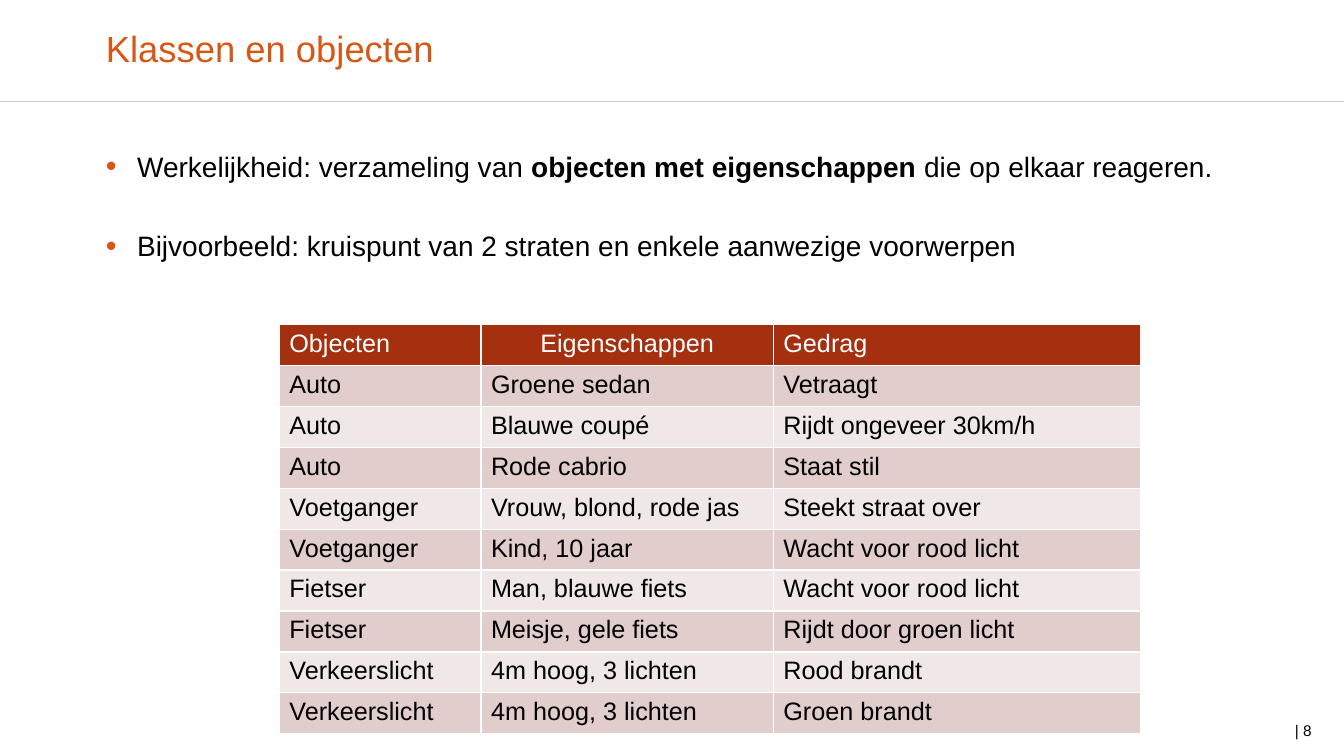
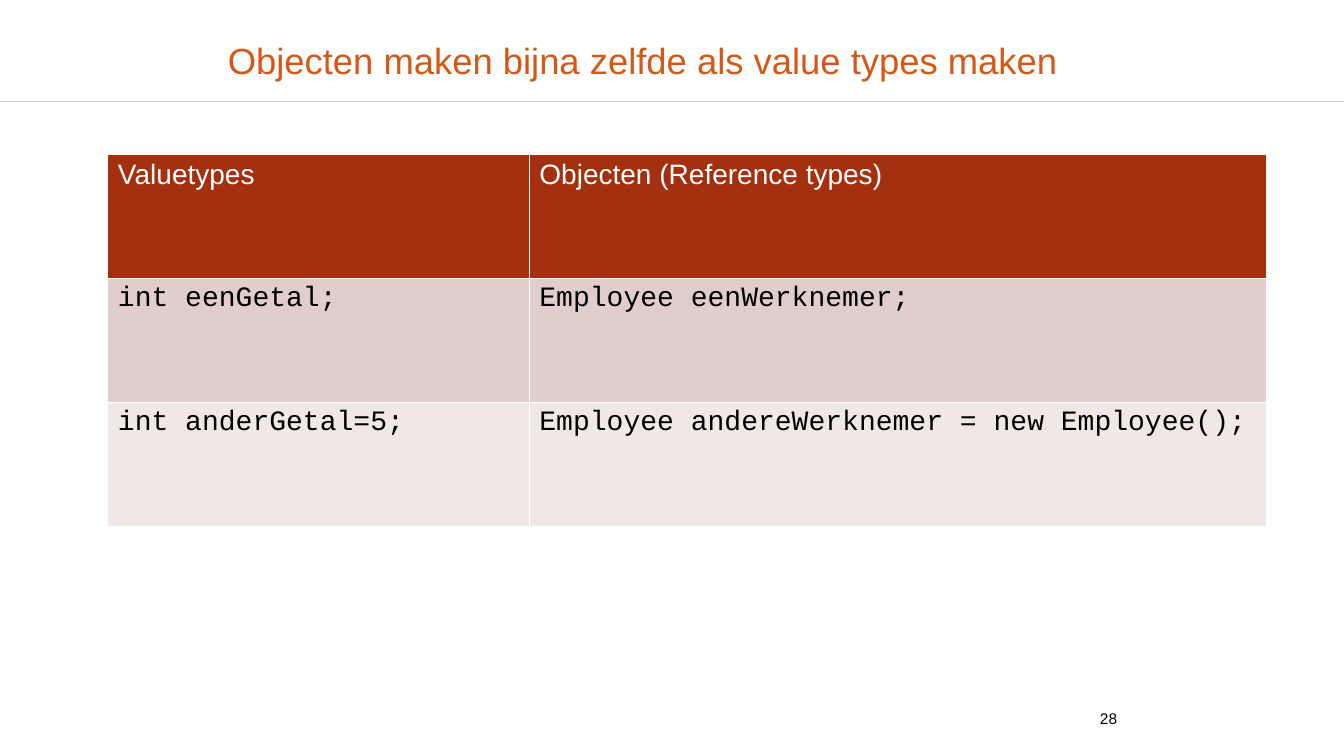
from dataclasses import dataclass

import pptx
import pptx.dml.color
import pptx.enum.shapes
import pptx.enum.text
import pptx.oxml
import pptx.oxml.ns
import pptx.util
from pptx.util import Inches

ALIGN = pptx.enum.text.PP_ALIGN
ANCHOR = pptx.enum.text.MSO_ANCHOR

# Shared look
SLIDE_WIDTH, SLIDE_HEIGHT = 13.33, 7.5
RULE_TOP = 1.01
ACCENT, HEADER_FILL = "D55816", "A5300F"
BAND_FILLS = ("E1CDCC", "F0E8E7")
BLACK, WHITE, RULE_GREY = "000000", "FFFFFF", "CCCCCC"
SANS, MONO = "Arial", "Courier New"
TITLE_SIZE, BODY_SIZE, NUMBER_SIZE = 26, 20, 11


@dataclass(frozen=True)
class Area:
    left: float
    top: float
    width: float
    height: float


@dataclass(frozen=True)
class Grid:
    left: float
    top: float
    widths: tuple[float, ...]
    row_height: float
    rows: tuple[tuple[str, ...], ...]
    size: int
    body_font: str = SANS
    centred_headers: tuple[int, ...] = ()


def colour(value: str) -> pptx.dml.color.RGBColor:
    return pptx.dml.color.RGBColor.from_string(value)


def drawing_element(tag: str, content: str = "", attributes: str = ""):
    namespace = pptx.oxml.ns.nsdecls("a")
    return pptx.oxml.parse_xml(f"<a:{tag} {namespace} {attributes}>{content}</a:{tag}>")


def format_runs(para, size: int, hex_colour: str, font: str = SANS) -> None:
    for span in para.runs:
        span.font.size = pptx.util.Pt(size)
        span.font.name = font
        span.font.color.rgb = colour(hex_colour)


def add_text_box(page, area: Area, anchor=ANCHOR.TOP):
    box = page.shapes.add_textbox(Inches(area.left), Inches(area.top),
                                  Inches(area.width), Inches(area.height))
    frame = box.text_frame
    frame.word_wrap = True
    frame.vertical_anchor = anchor
    frame.margin_left = frame.margin_top = frame.margin_right = frame.margin_bottom = 0
    return frame


def add_page(deck, title: str, title_area: Area, number: str, number_area: Area):
    page = deck.slides.add_slide(deck.slide_layouts[6])
    # Rule under the title
    rule = page.shapes.add_connector(
        pptx.enum.shapes.MSO_CONNECTOR.STRAIGHT,
        Inches(0), Inches(RULE_TOP), Inches(SLIDE_WIDTH), Inches(RULE_TOP))
    rule.line.color.rgb = colour(RULE_GREY)
    rule.line.width = pptx.util.Pt(1)
    rule.element.spPr.append(drawing_element("effectLst"))
    # Title
    para = add_text_box(page, title_area, ANCHOR.MIDDLE).paragraphs[0]
    para.text = title
    para.line_spacing = 0.9
    format_runs(para, TITLE_SIZE, ACCENT)
    # Page number
    para = add_text_box(page, number_area, ANCHOR.MIDDLE).paragraphs[0]
    para.text = number
    para.alignment = ALIGN.RIGHT
    format_runs(para, NUMBER_SIZE, BLACK)
    return page


def add_bullet(para) -> None:
    properties = para._p.get_or_add_pPr()
    properties.set("marL", str(Inches(0.31)))
    properties.set("indent", str(-Inches(0.31)))
    properties.append(drawing_element("buClr", f'<a:srgbClr val="{ACCENT}"/>'))
    properties.append(drawing_element("buSzPct", attributes='val="110000"'))
    properties.append(drawing_element("buFont", attributes=f'typeface="{SANS}"'))
    properties.append(drawing_element("buChar", attributes='char="•"'))


def add_bullets(page, area: Area, items: tuple[tuple[str, ...], ...], gap: int) -> None:
    """Each item alternates plain and bold parts, starting with plain."""
    frame = add_text_box(page, area)
    for index, parts in enumerate(items):
        para = frame.add_paragraph() if index else frame.paragraphs[0]
        if index:
            para.space_before = pptx.util.Pt(gap)
        add_bullet(para)
        for position, part in enumerate(parts):
            span = para.add_run()
            span.text = part
            span.font.bold = position % 2 == 1
        format_runs(para, BODY_SIZE, BLACK)


def style_cell(cell, fill: str) -> None:
    properties = cell._tc.get_or_add_tcPr()
    for side in ("lnL", "lnR", "lnT", "lnB"):
        properties.append(drawing_element(
            side, f'<a:solidFill><a:srgbClr val="{WHITE}"/></a:solidFill>',
            f'w="{pptx.util.Pt(1)}"'))
    cell.fill.solid()
    cell.fill.fore_color.rgb = colour(fill)


def add_grid(page, grid: Grid) -> None:
    table = page.shapes.add_table(
        len(grid.rows), len(grid.widths), Inches(grid.left), Inches(grid.top),
        Inches(sum(grid.widths)), Inches(grid.row_height * len(grid.rows))).table
    table.first_row = table.horz_banding = False
    for column, width in zip(table.columns, grid.widths):
        column.width = Inches(width)
    for row_index, texts in enumerate(grid.rows):
        is_header = row_index == 0
        table.rows[row_index].height = Inches(grid.row_height)
        for column_index, text in enumerate(texts):
            cell = table.cell(row_index, column_index)
            style_cell(cell, HEADER_FILL if is_header else BAND_FILLS[(row_index - 1) % 2])
            para = cell.text_frame.paragraphs[0]
            para.text = text
            if is_header and column_index in grid.centred_headers:
                para.alignment = ALIGN.CENTER
            format_runs(para, grid.size, WHITE if is_header else BLACK,
                        SANS if is_header else grid.body_font)


# Content
BULLETS = (
    ("Werkelijkheid: verzameling van ", "objecten met eigenschappen",
     " die op elkaar reageren."),
    ("Bijvoorbeeld: kruispunt van 2 straten en enkele aanwezige voorwerpen",),
)

CROSSROADS = Grid(2.77, 3.22, (2, 2.9, 3.64), 0.406, (
    ("Objecten", "Eigenschappen", "Gedrag"),
    ("Auto", "Groene sedan", "Vetraagt"),
    ("Auto", "Blauwe coupé", "Rijdt ongeveer 30km/h"),
    ("Auto", "Rode cabrio", "Staat stil"),
    ("Voetganger", "Vrouw, blond, rode jas", "Steekt straat over"),
    ("Voetganger", "Kind, 10 jaar", "Wacht voor rood licht"),
    ("Fietser", "Man, blauwe fiets", "Wacht voor rood licht"),
    ("Fietser", "Meisje, gele fiets", "Rijdt door groen licht"),
    ("Verkeerslicht", "4m hoog, 3 lichten", "Rood brandt"),
    ("Verkeerslicht", "4m hoog, 3 lichten", "Groen brandt"),
), size=18, centred_headers=(1,))

DECLARATIONS = Grid(1.07, 1.53, (4.18, 7.31), 1.23, (
    ("Valuetypes", "Objecten (Reference types)"),
    ("int eenGetal;", "Employee eenWerknemer;"),
    ("int anderGetal=5;", "Employee andereWerknemer = new Employee();"),
), size=20, body_font=MONO)


def main() -> None:
    deck = pptx.Presentation()
    deck.slide_width, deck.slide_height = Inches(SLIDE_WIDTH), Inches(SLIDE_HEIGHT)

    # Classes and objects
    page = add_page(deck, "Klassen en objecten", Area(1.05, 0, 11.23, 1.01),
                    "| 8", Area(9.5, 7.08, 3.51, 0.34))
    add_bullets(page, Area(1.05, 1.48, 11.97, 5.33), BULLETS, gap=33)
    add_grid(page, CROSSROADS)

    # Value types beside reference types
    page = add_page(deck, "Objecten maken bijna zelfde als value types maken",
                    Area(2.26, 0, 8.83, 1.25), "28", Area(8.83, 6.92, 2.25, 0.42))
    add_grid(page, DECLARATIONS)

    deck.save("out.pptx")


if __name__ == "__main__":
    main()
